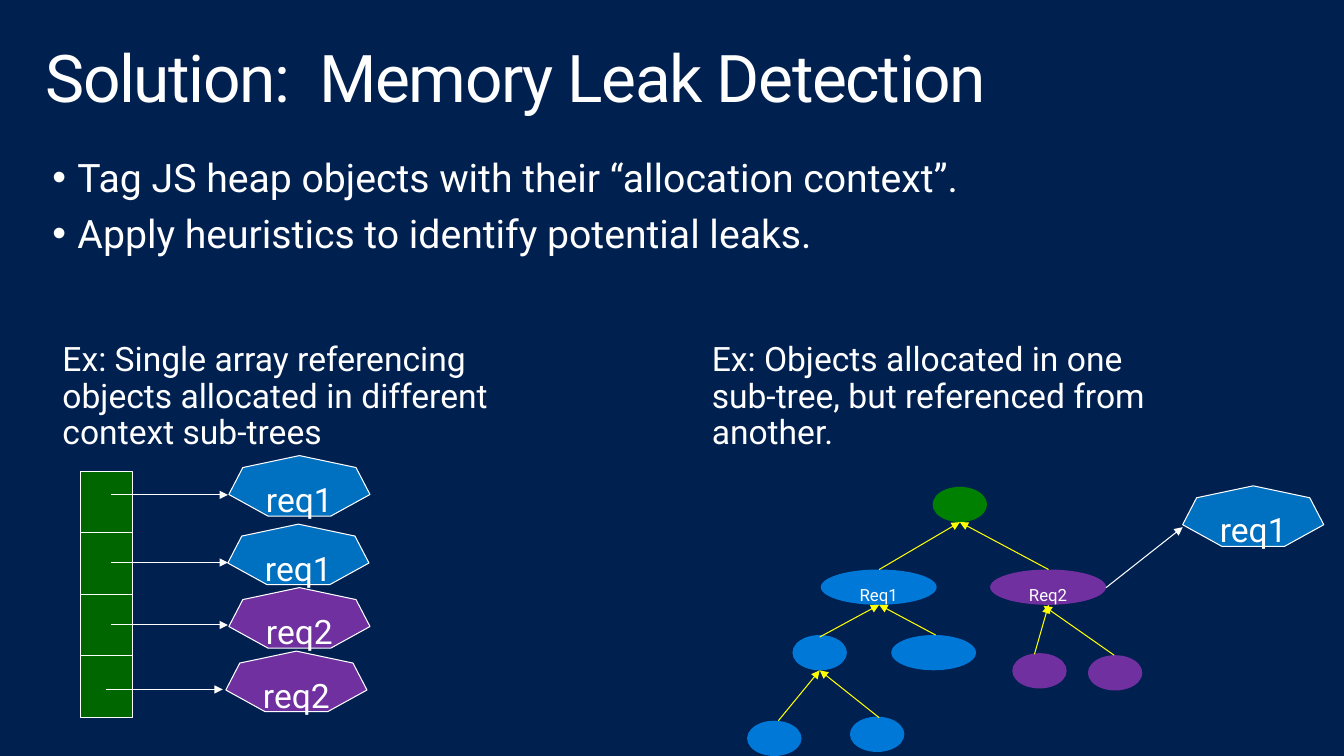
"""Build the memory leak detection slide."""
from dataclasses import dataclass

from lxml.etree import SubElement
from pptx import Presentation
from pptx.dml.color import RGBColor
from pptx.enum.shapes import MSO_CONNECTOR as Connector, MSO_SHAPE as Shape
from pptx.enum.text import MSO_ANCHOR as Anchor, MSO_AUTO_SIZE as AutoSize, PP_ALIGN as Align
from pptx.oxml.ns import qn
from pptx.util import Emu, Pt

EMU_PER_PX = 9144


@dataclass(frozen=True)
class Theme:
    """Colours, type sizes and font of the slide."""
    font: str = "Roboto"
    background: str = "002050"
    white: str = "FFFFFF"
    edge: str = "FFFF00"
    root: str = "008000"
    cell: str = "006600"
    blue: str = "0078D7"
    request1: str = "0070C0"
    purple: str = "7030A0"
    title: int = 47
    body: int = 28
    label: int = 24
    small: int = 12
    line: float = 0.75


def px(*lengths):
    """Turn pixel lengths into EMU."""
    return [Emu(length * EMU_PER_PX) for length in lengths]


class SlideBuilder:
    """Draws styled elements on the current slide."""

    def __init__(self, slide, theme):
        """Keep the slide and theme, and paint the background."""
        self.slide, self.theme = slide, theme
        fill = slide.background.fill
        fill.solid()
        fill.fore_color.rgb = RGBColor.from_string(theme.background)

    def set_text(self, shape, text, size, inset, align=Align.LEFT, anchor=Anchor.TOP):
        """Set and format the text of a shape."""
        frame = shape.text_frame
        frame.text = text
        frame.word_wrap = True
        frame.auto_size = AutoSize.NONE
        frame.vertical_anchor = anchor
        frame.margin_left, frame.margin_top = px(*inset)
        frame.margin_right, frame.margin_bottom = px(*inset)
        for para in frame.paragraphs:
            para.alignment = align
            para.line_spacing = 0.9
            for span in para.runs:
                span.font.name = self.theme.font
                span.font.size = Pt(size)
                span.font.color.rgb = RGBColor.from_string(self.theme.white)
        return frame

    def title(self, text, box):
        """Place and format the title placeholder."""
        shape = self.slide.shapes.title
        shape.left, shape.top, shape.width, shape.height = px(*box)
        frame = self.set_text(shape, text, self.theme.title, (16, 10), anchor=Anchor.MIDDLE)
        for span in frame.paragraphs[0].runs:
            span._r.get_or_add_rPr().set("spc", "-100")

    def bullets(self, lines, box):
        """Add a bulleted list."""
        shape = self.slide.shapes.add_textbox(*px(*box))
        frame = self.set_text(shape, "\n".join(lines), self.theme.body, (10, 5))
        indent = px(25)[0]
        for para in frame.paragraphs:
            para.space_before = Pt(10)
            properties = para._p.get_or_add_pPr()
            properties.set("marL", str(indent))
            properties.set("indent", str(-indent))
            SubElement(properties, qn("a:buFont")).set("typeface", "Arial")
            SubElement(properties, qn("a:buChar")).set("char", "•")

    def caption(self, text, box):
        """Add an example caption."""
        shape = self.slide.shapes.add_textbox(*px(*box))
        frame = self.set_text(shape, text, self.theme.label, (20, 16))
        frame.paragraphs[0].space_after = Pt(6)

    def shape(self, kind, box, fill, text="", size=None, outlined=False):
        """Add a filled shape with an optional label and outline."""
        shape = self.slide.shapes.add_shape(kind, *px(*box))
        shape.shadow.inherit = False
        shape.fill.solid()
        shape.fill.fore_color.rgb = RGBColor.from_string(fill)
        if outlined:
            shape.line.color.rgb = RGBColor.from_string(self.theme.white)
            shape.line.width = Pt(self.theme.line)
        else:
            shape.line.fill.background()
        if text:
            self.set_text(shape, text, size, (20, 16), Align.CENTER)

    def request(self, left, top, fill, text):
        """Add a heptagon that stands for a request object."""
        self.shape(Shape.HEPTAGON, (left, top, 140, 60), fill, text, self.theme.label, True)

    def arrow(self, start, end, color):
        """Add a straight arrow."""
        connector = self.slide.shapes.add_connector(Connector.STRAIGHT, *px(*start, *end))
        connector.line.color.rgb = RGBColor.from_string(color)
        connector.line.width = Pt(self.theme.line)
        properties = connector._element.spPr
        SubElement(properties.find(qn("a:ln")), qn("a:tailEnd")).set("type", "triangle")
        SubElement(properties, qn("a:effectLst"))


def draw_tree(builder):
    """Draw the allocation tree and the reference that leaves it."""
    theme = builder.theme
    nodes = [
        (925, 483, 54, theme.root, ""),
        (814, 565, 115, theme.blue, "Req1 "),
        (982, 565, 115, theme.purple, "Req2 "),
        (786, 630, 54, theme.blue, ""),
        (884, 630, 84, theme.blue, ""),
        (741, 715, 54, theme.blue, ""),
        (843, 711, 54, theme.blue, ""),
        (1004, 648, 54, theme.purple, ""),
        (1079, 650, 54, theme.purple, ""),
    ]
    for left, top, width, fill, text in nodes:
        builder.shape(Shape.OVAL, (left, top, width, 35), fill, text, theme.small)
    edges = {
        (952, 518): [(872, 565), (1040, 565)],
        (872, 600): [(813, 632), (928, 630)],
        (813, 665): [(872, 712), (772, 715)],
        (1040, 600): [(1026, 649)],
        (1035, 601): [(1105, 650)],
    }
    for parent, children in edges.items():
        for child in children:
            builder.arrow(child, parent, theme.edge)
    builder.arrow((1097, 583), (1173, 523), theme.white)
    builder.request(1173, 482, theme.request1, "req1")


def draw_array(builder):
    """Draw the array cells and the requests they refer to."""
    theme = builder.theme
    rows = [
        (468, 491, 110, 227, 452, theme.request1, "req1"),
        (528, 558, 110, 226, 520, theme.request1, "req1"),
        (590, 620, 110, 227, 583, theme.purple, "req2"),
        (650, 684, 105, 224, 646, theme.purple, "req2"),
    ]
    for cell_top, *_ in rows:
        builder.shape(Shape.RECTANGLE, (80, cell_top, 51, 62), theme.cell, outlined=True)
    for _, arrow_y, arrow_x, left, top, fill, text in rows:
        builder.arrow((arrow_x, arrow_y), (arrow_x + 116, arrow_y), theme.white)
        builder.request(left, top, fill, text)


def main():
    """Build and save the deck."""
    deck = Presentation()
    deck.slide_width, deck.slide_height = px(1333, 750)
    page = deck.slides.add_slide(deck.slide_layouts[5])
    builder = SlideBuilder(page, Theme())
    builder.title("Solution:  Memory Leak Detection", (29, 32, 1275, 98))
    builder.bullets(
        ["Tag JS heap objects with their “allocation context”.",
         "Apply heuristics to identify potential leaks."],
        (42, 152, 1268, 154))
    draw_tree(builder)
    builder.caption("Ex: Single array referencing objects allocated in different context sub-trees",
                    (42, 324, 513, 141))
    builder.caption("Ex: Objects allocated in one sub-tree, but referenced from another.",
                    (686, 324, 513, 141))
    draw_array(builder)
    deck.save("out.pptx")


if __name__ == "__main__":
    main()
